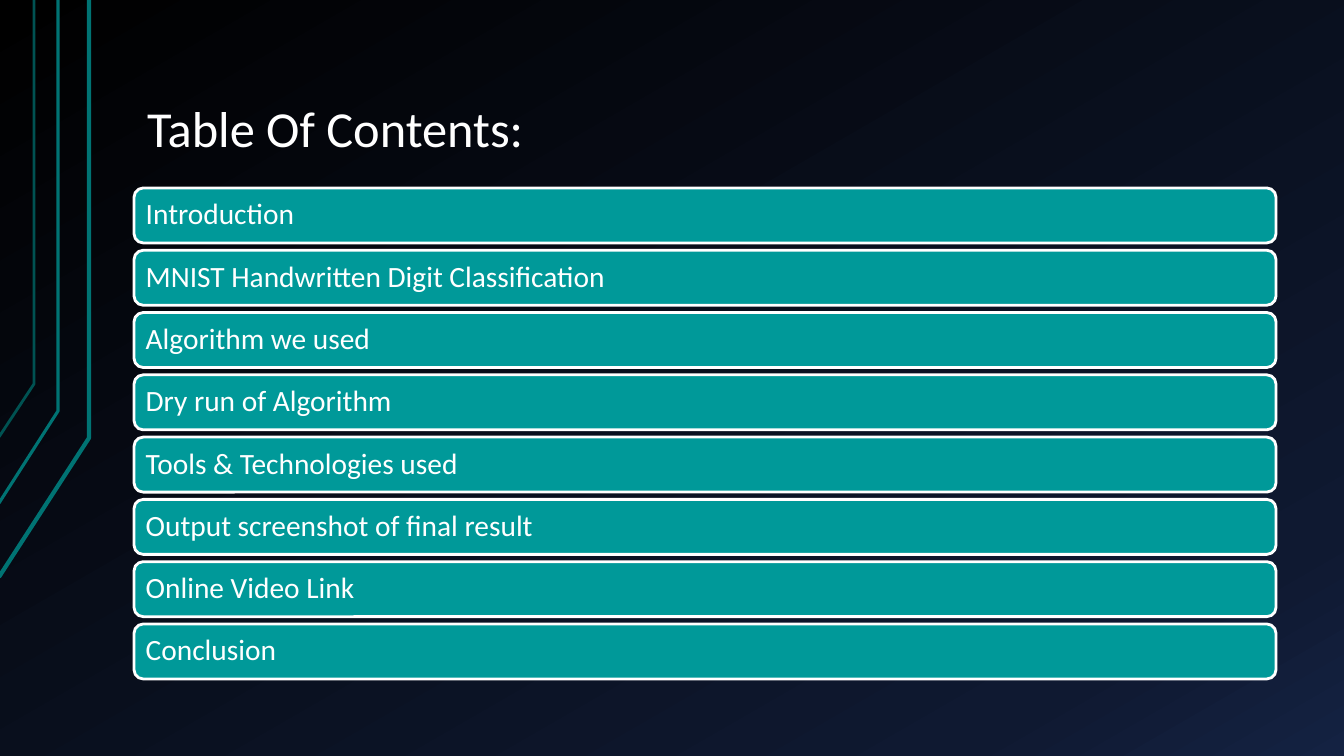
from copy import deepcopy

from pptx import Presentation
from pptx.dml.color import RGBColor
from pptx.enum.shapes import MSO_SHAPE
from pptx.enum.text import MSO_ANCHOR, PP_ALIGN
from pptx.oxml.ns import qn
from pptx.util import Pt

SCALE = 914400 / 100.8
WIDTH, HEIGHT = 1344, 756
COLORS = {
    "night": "000000",
    "navy": "0F1931",
    "dusk": "142242",
    "circuit": "007373",
    "circuit_dim": "005252",
    "bar": "009999",
    "white": "FFFFFF",
}
TOPICS = [
    "Introduction",
    "MNIST Handwritten Digit Classification",
    "Algorithm we used",
    "Dry run of Algorithm",
    "Tools & Technologies used",
    "Output screenshot of final result",
    "Online Video Link",
    "Conclusion",
]


def px(length):
    """Turn pixels into EMU."""
    return round(length * SCALE)


def color(name):
    """Look up a named colour."""
    return RGBColor.from_string(COLORS[name])


def write(holder, text, size=21, ink="white", font="Calibri",
          anchor=MSO_ANCHOR.MIDDLE, inset=(9, 9)):
    """Put one formatted, left-aligned paragraph into a shape."""
    frame = holder.text_frame
    frame.word_wrap = True
    frame.vertical_anchor = anchor
    frame.margin_left = frame.margin_right = px(inset[0])
    frame.margin_top = frame.margin_bottom = px(inset[1])
    paragraph = frame.paragraphs[0]
    paragraph.alignment = PP_ALIGN.LEFT
    paragraph.line_spacing = 0.9
    run = paragraph.add_run()
    run.text = text
    run.font.size = Pt(size)
    run.font.name = font
    run.font.color.rgb = color(ink)


def paint_background(slide):
    """Fill the slide with a three-stop diagonal gradient."""
    fill = slide.background.fill
    fill.gradient()
    fill.gradient_angle = 300
    stop_list = next(slide.element.iter(qn("a:gsLst")))
    stop_list.append(deepcopy(stop_list[-1]))
    stops = [(0, "night"), (0.85, "navy"), (1, "dusk")]
    for stop, (position, name) in zip(fill.gradient_stops, stops):
        stop.position = position
        stop.color.rgb = color(name)


def draw_circuit(slide, left, top):
    """Draw the three bent lines along the left edge."""
    traces = [
        (89, 438, 577, 3, "circuit"),
        (58, 411, 503, 2.25, "circuit"),
        (34, 384, 437, 2, "circuit_dim"),
    ]
    for x, bend, end, weight, ink in traces:
        builder = slide.shapes.build_freeform(px(left - 1), px(top + end))
        builder.add_line_segments(
            [(px(left + x), px(top + bend)), (px(left + x), px(top))],
            close=False)
        trace = builder.convert_to_shape()
        trace.shadow.inherit = False
        trace.fill.background()
        trace.line.color.rgb = color(ink)
        trace.line.width = Pt(weight)


def add_heading(slide, left, top, width, height):
    """Place the slide heading at the bottom of its box."""
    heading = slide.shapes.add_textbox(
        px(left), px(top), px(width), px(height))
    write(heading, "Table Of Contents:", size=36,
          anchor=MSO_ANCHOR.BOTTOM, inset=(13, 7))


def add_topics(slide, left, top, width, height, bar_height=55):
    """Spread one rounded bar per topic evenly down the box."""
    pitch = (height - bar_height) / (len(TOPICS) - 1)
    for index, topic in enumerate(TOPICS):
        bar = slide.shapes.add_shape(
            MSO_SHAPE.ROUNDED_RECTANGLE, px(left), px(top + index * pitch),
            px(width), px(bar_height))
        bar.shadow.inherit = False
        bar.fill.solid()
        bar.fill.fore_color.rgb = color("bar")
        bar.line.color.rgb = color("white")
        bar.line.width = Pt(2)
        write(bar, topic)


def build_contents_slide(deck):
    """Assemble the table of contents slide."""
    slide = deck.slides.add_slide(deck.slide_layouts[6])
    paint_background(slide)
    draw_circuit(slide, 0, 0)
    add_heading(slide, 134, 30, 1142, 135)
    add_topics(slide, 134, 188, 1142, 491)


deck = Presentation()
deck.slide_width, deck.slide_height = px(WIDTH), px(HEIGHT)
build_contents_slide(deck)
deck.save("out.pptx")
